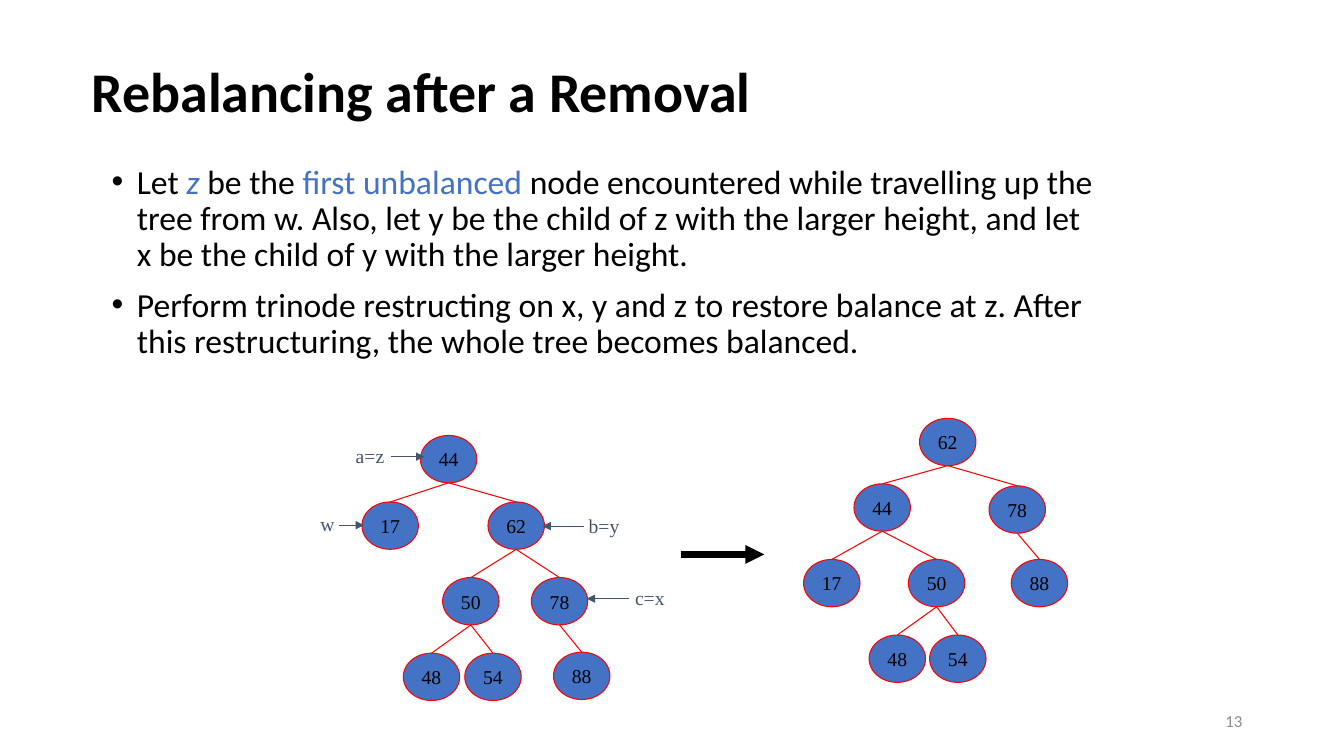
from lxml import etree
from pptx import Presentation
from pptx.dml.color import RGBColor
from pptx.enum.shapes import MSO_CONNECTOR, MSO_SHAPE
from pptx.enum.text import MSO_ANCHOR, MSO_AUTO_SIZE, PP_ALIGN
from pptx.oxml.ns import qn
from pptx.util import Inches, Pt

LEFT, CENTER, RIGHT = PP_ALIGN.LEFT, PP_ALIGN.CENTER, PP_ALIGN.RIGHT
TOP, MIDDLE = MSO_ANCHOR.TOP, MSO_ANCHOR.MIDDLE
NO_AUTOFIT = MSO_AUTO_SIZE.NONE
STRAIGHT = MSO_CONNECTOR.STRAIGHT
OVAL = MSO_SHAPE.OVAL

COLORS = {
    "black": "000000",
    "blue": "4472C4",
    "red": "FF0000",
    "slate": "44546A",
    "gray": "8C8C8C",
}
SANS, SERIF = "Calibri", "Times New Roman"
NODE_WIDTH, NODE_HEIGHT = 0.56, 0.47

BULLETS = [
    [
        ("Let ", "black", False),
        ("z", "blue", True),
        (" be the ", "black", False),
        ("first unbalanced", "blue", False),
        (" node encountered while travelling up the tree from w. Also, let y be the child of z "
         "with the larger height, and let x be the child of y with the larger height.", "black", False),
    ],
    [
        ("Perform trinode restructing on x, y and z to restore balance at z. "
         "After this restructuring, the whole tree becomes balanced.", "black", False),
    ],
]

TREE_BEFORE = {
    "44": (4.17, 4.32), "17": (3.59, 4.98), "62": (4.84, 4.98), "50": (4.39, 5.73),
    "78": (5.27, 5.73), "48": (4, 6.48), "54": (4.61, 6.48), "88": (5.49, 6.47),
}
EDGES_BEFORE = [("44", "17"), ("44", "62"), ("62", "50"), ("62", "78"),
                ("50", "48"), ("50", "54"), ("78", "88")]
TREE_AFTER = {
    "62": (9.12, 4.15), "44": (8.47, 4.8), "78": (9.81, 4.82), "17": (7.97, 5.55),
    "50": (9.01, 5.55), "88": (10.03, 5.55), "48": (8.62, 6.3), "54": (9.22, 6.3),
}
EDGES_AFTER = [("62", "44"), ("62", "78"), ("44", "17"), ("44", "50"),
               ("50", "48"), ("50", "54"), ("78", "88")]

POINTERS = [
    ("a=z", (3.43, 4.36, 0.48, 0.33), (3.88, 4.53), (4.21, 4.53)),
    ("w", (3.08, 5.03, 0.34, 0.33), (3.36, 5.21), (3.61, 5.21)),
    ("b=y", (5.74, 5.05, 0.51, 0.33), (5.79, 5.22), (5.38, 5.22)),
    ("c=x", (6.2, 5.76, 0.49, 0.33), (6.24, 5.94), (5.82, 5.94)),
]


class SlideBuilder:
    """Draws the elements of one slide in a shared style."""

    def __init__(self, presentation):
        self.slide = presentation.slides.add_slide(presentation.slide_layouts[5])
        self.shapes = self.slide.shapes

    def color(self, name):
        return RGBColor.from_string(COLORS[name])

    def add_run(self, paragraph, text, size, font, color, bold=False, italic=False):
        run = paragraph.add_run()
        run.text = text
        run.font.size = Pt(size)
        run.font.name = font
        run.font.bold = bold
        run.font.italic = italic
        run.font.color.rgb = self.color(color)

    def prepare_frame(self, shape, anchor, wrap):
        frame = shape.text_frame
        frame.auto_size = NO_AUTOFIT
        frame.word_wrap = wrap
        frame.vertical_anchor = anchor
        return frame

    def title(self, text, box):
        shape = self.shapes.title
        shape.left, shape.top, shape.width, shape.height = map(Inches, box)
        paragraph = self.prepare_frame(shape, MIDDLE, True).paragraphs[0]
        paragraph.alignment = LEFT
        paragraph.line_spacing = 0.9
        self.add_run(paragraph, text, 40, SANS, "black", bold=True)

    def bullets(self, items, box):
        frame = self.prepare_frame(self.shapes.add_textbox(*map(Inches, box)), TOP, True)
        for index, runs in enumerate(items):
            paragraph = frame.add_paragraph() if index else frame.paragraphs[0]
            properties = paragraph._p.get_or_add_pPr()
            properties.set("marL", str(Inches(0.25)))
            properties.set("indent", str(Inches(-0.25)))
            etree.SubElement(properties, qn("a:buFont")).set("typeface", "Arial")
            etree.SubElement(properties, qn("a:buChar")).set("char", "•")
            paragraph.line_spacing = 0.9
            if index:
                paragraph.space_before = Pt(10)
            for text, color, italic in runs:
                self.add_run(paragraph, text, 24, SANS, color, italic=italic)

    def label(self, text, box, size=14, font=SERIF, color="slate", alignment=LEFT, anchor=TOP, wrap=False):
        shape = self.shapes.add_textbox(*map(Inches, box))
        paragraph = self.prepare_frame(shape, anchor, wrap).paragraphs[0]
        paragraph.alignment = alignment
        self.add_run(paragraph, text, size, font, color)

    def line(self, start, end, color, width=0.75, arrow=False):
        connector = self.shapes.add_connector(STRAIGHT, *map(Inches, start + end))
        connector.line.color.rgb = self.color(color)
        connector.line.width = Pt(width)
        if arrow:
            outline = connector.line._get_or_add_ln()
            etree.SubElement(outline, qn("a:tailEnd")).set("type", "triangle")
        etree.SubElement(connector._element.spPr, qn("a:effectLst"))

    def node(self, text, position):
        shape = self.shapes.add_shape(OVAL, *map(Inches, position + (NODE_WIDTH, NODE_HEIGHT)))
        shape.shadow.inherit = False
        shape.fill.solid()
        shape.fill.fore_color.rgb = self.color("blue")
        shape.line.color.rgb = self.color("red")
        shape.line.width = Pt(0.75)
        paragraph = self.prepare_frame(shape, MIDDLE, False).paragraphs[0]
        paragraph.alignment = CENTER
        self.add_run(paragraph, text, 14, SERIF, "black")

    def tree(self, nodes, edges):
        for text, position in nodes.items():
            self.node(text, position)
        for parent, child in edges:
            parent_left, parent_top = nodes[parent]
            child_left, child_top = nodes[child]
            self.line((parent_left + NODE_WIDTH / 2, parent_top + NODE_HEIGHT),
                      (child_left + NODE_WIDTH / 2, child_top), "red")


def main():
    presentation = Presentation()
    presentation.slide_width = Inches(13.33)
    presentation.slide_height = Inches(7.5)
    builder = SlideBuilder(presentation)
    builder.title("Rebalancing after a Removal", (0.81, 0.31, 7.83, 1.25))
    builder.bullets(BULLETS, (1.01, 1.59, 9.97, 2.67))
    builder.tree(TREE_BEFORE, EDGES_BEFORE)
    for text, box, start, end in POINTERS:
        builder.label(text, box)
        builder.line(start, end, "slate", arrow=True)
    builder.tree(TREE_AFTER, EDGES_AFTER)
    builder.line((6.75, 5.5), (7.58, 5.5), "black", width=4.5, arrow=True)
    builder.label("13", (9.42, 6.95, 3, 0.4), 12, SANS, "gray", RIGHT, MIDDLE, True)
    presentation.save("out.pptx")


if __name__ == "__main__":
    main()
